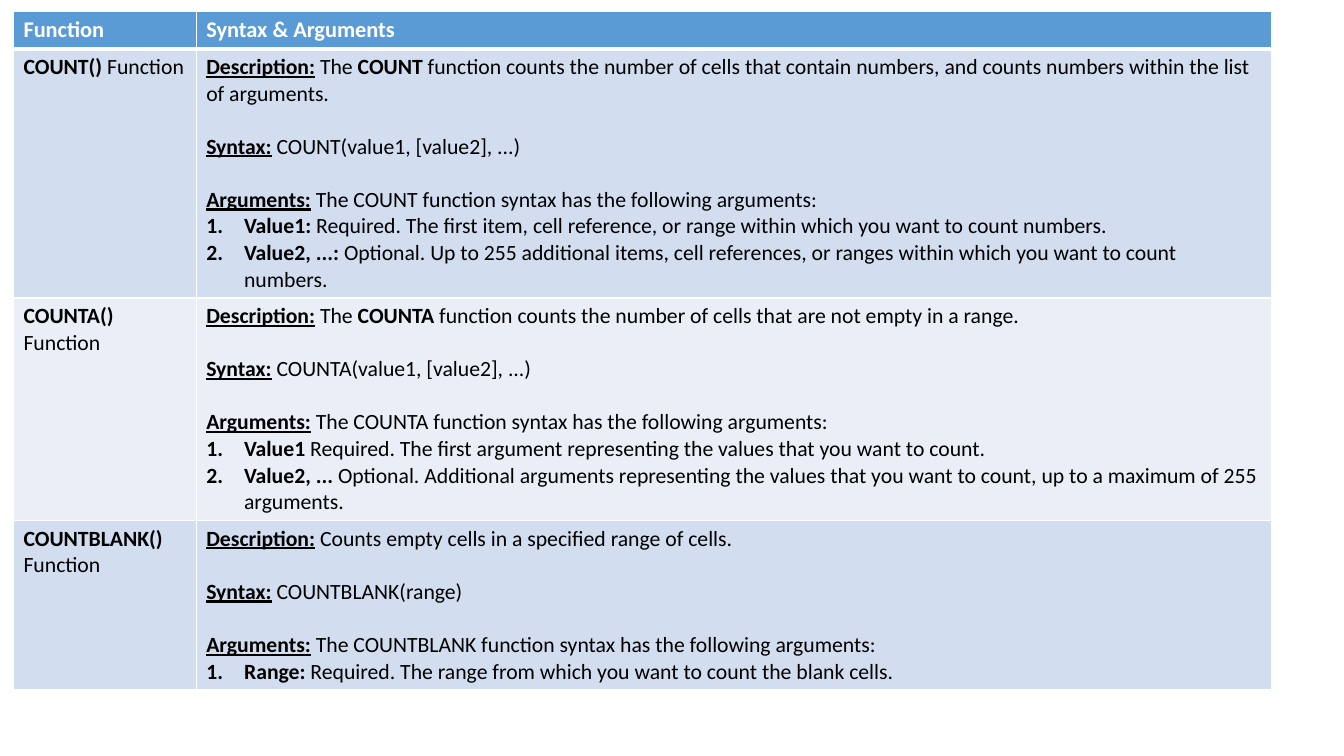
from dataclasses import dataclass

from lxml import etree
from pptx import Presentation
from pptx.dml.color import RGBColor
from pptx.oxml.ns import qn
from pptx.util import Inches, Pt

WIDE, HIGH = 13.33, 7.5
LEFT, TOP = 0.01 * WIDE, 0.015 * HIGH
COLS = (0.136 * WIDE, 0.8 * WIDE)
LINE, PAD = 0.26, 0.1
HANG = 0.375


@dataclass(frozen=True)
class Theme:
    font: str = "Calibri"
    head: float = 16
    body: float = 15.5
    gap: float = 19
    ink: str = "000000"
    white: str = "FFFFFF"
    blue: str = "5B9BD5"
    bands: tuple = ("D2DEEF", "EAEFF7")


THEME = Theme()

HEADS = ("Function", "Syntax & Arguments")

ITEMS = (
    {
        "name": "COUNT",
        "about": (
            (" The ", False),
            ("COUNT", True),
            (" function counts the number of cells that contain numbers, "
             "and counts numbers within the list of arguments.", False),
        ),
        "call": "value1, [value2], ...",
        "args": (
            ("Value1: ", "Required. The first item, cell reference, or range "
             "within which you want to count numbers."),
            ("Value2, ...: ", "Optional. Up to 255 additional items, cell "
             "references, or ranges within which you want to count numbers."),
        ),
        "lines": 9,
    },
    {
        "name": "COUNTA",
        "about": (
            (" The ", False),
            ("COUNTA", True),
            (" function counts the number of cells that are not empty "
             "in a range.", False),
        ),
        "call": "value1, [value2], ...",
        "args": (
            ("Value1", " Required. The first argument representing the values "
             "that you want to count."),
            ("Value2, ...", " Optional. Additional arguments representing the "
             "values that you want to count, up to a maximum of 255 arguments."),
        ),
        "lines": 8,
    },
    {
        "name": "COUNTBLANK",
        "about": ((" Counts empty cells in a specified range of cells.", False),),
        "call": "range",
        "args": (
            ("Range: ", "Required. The range from which you want to count "
             "the blank cells."),
        ),
        "lines": 6,
    },
)


def write(para, text, size=THEME.body, color=THEME.ink, bold=False, under=False):
    run = para.add_run()
    run.text = text
    font = run.font
    font.name, font.size = THEME.font, Pt(size)
    font.bold, font.underline = bold, under
    font.color.rgb = RGBColor.from_string(color)


def label(para, text, gap=0):
    para.space_before = Pt(gap)
    write(para, text, bold=True, under=True)


def number(para):
    props = para._p.get_or_add_pPr()
    props.set("marL", str(Inches(HANG)))
    props.set("indent", str(-Inches(HANG)))
    etree.SubElement(props, qn("a:buFont"), typeface="+mj-lt")
    etree.SubElement(props, qn("a:buAutoNum"), type="arabicPeriod")


def paint(cell, color, base=1):
    props = cell._tc.get_or_add_tcPr()
    for side, width in (("L", 1), ("R", 1), ("T", 1), ("B", base)):
        line = etree.SubElement(props, qn(f"a:ln{side}"), w=str(Pt(width)))
        fill = etree.SubElement(line, qn("a:solidFill"))
        etree.SubElement(fill, qn("a:srgbClr"), val=THEME.white)
    cell.fill.solid()
    cell.fill.fore_color.rgb = RGBColor.from_string(color)


def header(row):
    for cell, text in zip(row.cells, HEADS):
        paint(cell, THEME.blue, base=3)
        write(cell.text_frame.paragraphs[0], text, size=THEME.head,
              color=THEME.white, bold=True)


def entry(row, item, band):
    name = item["name"]
    for cell in row.cells:
        paint(cell, band)
    title, detail = (cell.text_frame for cell in row.cells)

    para = title.paragraphs[0]
    write(para, f"{name}()", bold=True)
    write(para, " Function")

    para = detail.paragraphs[0]
    label(para, "Description:")
    for text, bold in item["about"]:
        write(para, text, bold=bold)

    for tag, text in (
        ("Syntax:", f" {name}({item['call']})"),
        ("Arguments:", f" The {name} function syntax has the following arguments:"),
    ):
        para = detail.add_paragraph()
        label(para, tag, THEME.gap)
        write(para, text)

    for term, text in item["args"]:
        para = detail.add_paragraph()
        number(para)
        write(para, term, bold=True)
        write(para, text)


def grid(slide):
    rows = [LINE + PAD] + [item["lines"] * LINE + PAD for item in ITEMS]
    frame = slide.shapes.add_table(
        len(rows), len(COLS), Inches(LEFT), Inches(TOP),
        Inches(sum(COLS)), Inches(sum(rows)))
    table = frame.table
    for col, width in zip(table.columns, COLS):
        col.width = Inches(width)
    for row, height in zip(table.rows, rows):
        row.height = Inches(height)
    return table


def main():
    deck = Presentation()
    deck.slide_width, deck.slide_height = Inches(WIDE), Inches(HIGH)
    slide = deck.slides.add_slide(deck.slide_layouts[6])
    table = grid(slide)
    header(table.rows[0])
    for i, item in enumerate(ITEMS):
        entry(table.rows[i + 1], item, THEME.bands[i % 2])
    deck.save("out.pptx")


if __name__ == "__main__":
    main()
